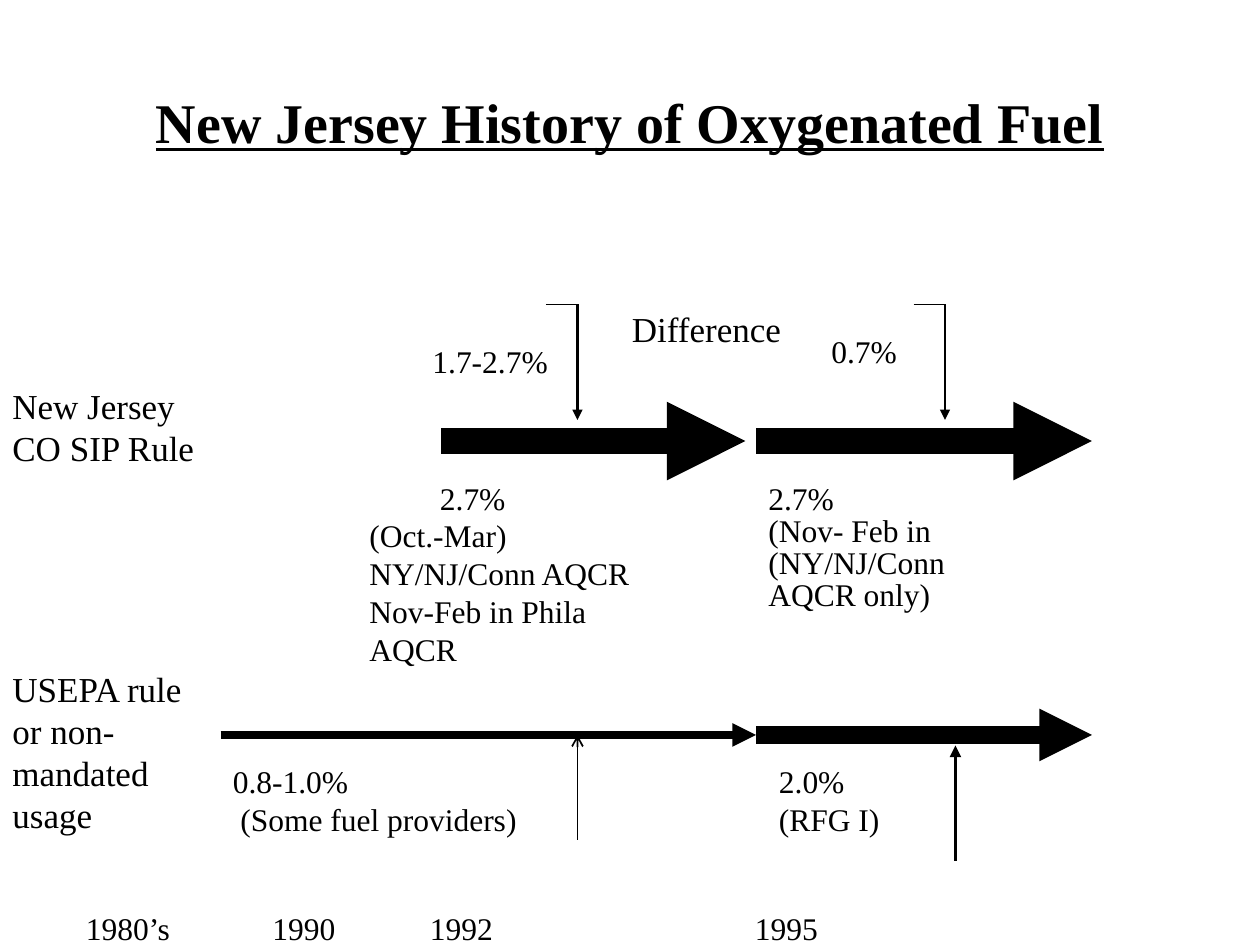
"""Build a timeline slide on the history of oxygenated fuel in New Jersey."""
from lxml import etree
from pptx import Presentation
from pptx import util as u
from pptx.dml.color import RGBColor
from pptx.enum import shapes, text
from pptx.oxml.ns import qn

BLACK = RGBColor(0, 0, 0)
FONT = "Times New Roman"
COLUMNS, ROWS = 120, 90
BODY, LABEL, HEADING = 18, 20, 32
RULE_ROW, USAGE_ROW = 42, 70
START_1980S, START_1992, START_1995, END = 21, 42, 72, 104

TITLE = ("New Jersey History of Oxygenated Fuel", (9, 8, 102, 7))

# (left, top, width, height) in grid cells, size, lines
LABELS = [
    ((40, 32, 14, 5), BODY, ["1.7-2.7%"]),
    ((78, 31, 9, 5), BODY, ["0.7%"]),
    ((59, 28.7, 16.7, 5.3), LABEL, ["Difference"]),
    ((0, 36, 23, 15), LABEL, ["New Jersey CO SIP Rule"]),
    ((0, 63, 21, 17), LABEL, ["USEPA rule or non-mandated", "usage"]),
    ((34, 45, 30, 25), BODY,
     ["2.7%", "(Oct.-Mar) NY/NJ/Conn AQCR Nov-Feb in Phila AQCR"]),
    ((72, 45, 35, 14), BODY,
     ["2.7%", "(Nov- Feb in (NY/NJ/Conn", "AQCR only)"]),
    ((21, 72, 41, 8), BODY, ["0.8-1.0%", "(Some fuel providers)"]),
    ((73, 72, 27, 8), BODY, ["2.0%", "(RFG I)"]),
    ((7, 86, 101, 4), BODY, ["1980’s\t1990\t1992\t1995"]),
]
YEAR_TABS = [1.48, 2.73, 5.31]
INDENTS = {(34, "2.7%"): 0.56, (21, "(Some fuel providers)"): 0.06}
TIGHT_LINES = {"(Nov- Feb in (NY/NJ/Conn", "AQCR only)"}

# start, end, width, arrowhead
PERIODS = [
    ((START_1980S, USAGE_ROW), (START_1995, USAGE_ROW), 4.5, "triangle"),
    ((START_1995, USAGE_ROW), (END, USAGE_ROW), 10, "triangle"),
    ((START_1995, RULE_ROW), (END, RULE_ROW), 15, "triangle"),
    ((START_1992, RULE_ROW), (71, RULE_ROW), 15, "triangle"),
]
POINTERS = [
    ((55, 80), (55, 70), 1, "arrow"),
    ((91, 82), (91, 71), 2.25, "triangle"),
]
DIFFERENCE_COLUMNS = [55, 90]
DIFFERENCE_TOP, DIFFERENCE_BOTTOM, DIFFERENCE_ARM = 29, 40, 3


def build():
    deck = Presentation()
    deck.slide_width, deck.slide_height = u.Inches(10), u.Inches(7.5)
    page = deck.slides.add_slide(deck.slide_layouts[6])

    def across(cells):
        return round(deck.slide_width * cells / COLUMNS)

    def down(cells):
        return round(deck.slide_height * cells / ROWS)

    def add_line(start, end, width, head=None):
        line = page.shapes.add_connector(
            shapes.MSO_CONNECTOR.STRAIGHT,
            across(start[0]), down(start[1]), across(end[0]), down(end[1]))
        line.line.color.rgb = BLACK
        line.line.width = u.Pt(width)
        if head:
            outline = line.line._get_or_add_ln()
            etree.SubElement(outline, qn("a:tailEnd"), type=head)
        etree.SubElement(line._element.spPr, qn("a:effectLst"))

    def add_text(place, size, lines):
        left, top, width, height = place
        box = page.shapes.add_textbox(
            across(left), down(top), across(width), down(height))
        frame = box.text_frame
        frame.word_wrap = True
        for number, line in enumerate(lines):
            para = frame.paragraphs[0] if number == 0 else frame.add_paragraph()
            para.text = line
            settings = para._p.get_or_add_pPr()
            if (left, line) in INDENTS:
                settings.set("marL", str(u.Inches(INDENTS[left, line])))
            if "\t" in line:
                stops = etree.SubElement(settings, qn("a:tabLst"))
                for stop in YEAR_TABS:
                    etree.SubElement(stops, qn("a:tab"),
                                     pos=str(u.Inches(stop)), algn="l")
            if line in TIGHT_LINES:
                para.line_spacing = 0.85
            para.font.name = FONT
            para.font.size = u.Pt(size)
            para.font.color.rgb = BLACK
        return frame

    heading, place = TITLE
    frame = add_text(place, HEADING, [heading])
    frame.vertical_anchor = text.MSO_ANCHOR.MIDDLE
    para = frame.paragraphs[0]
    para.alignment = text.PP_ALIGN.CENTER
    para.font.bold = para.font.underline = True

    for arrow in PERIODS + POINTERS:
        add_line(*arrow)
    for column in DIFFERENCE_COLUMNS:
        corner = (column, DIFFERENCE_TOP)
        add_line(corner, (column, DIFFERENCE_BOTTOM), 1.5, "triangle")
        add_line((column - DIFFERENCE_ARM, DIFFERENCE_TOP), corner, 0.75)
    for label in LABELS:
        add_text(*label)

    deck.save("out.pptx")


if __name__ == "__main__":
    build()
